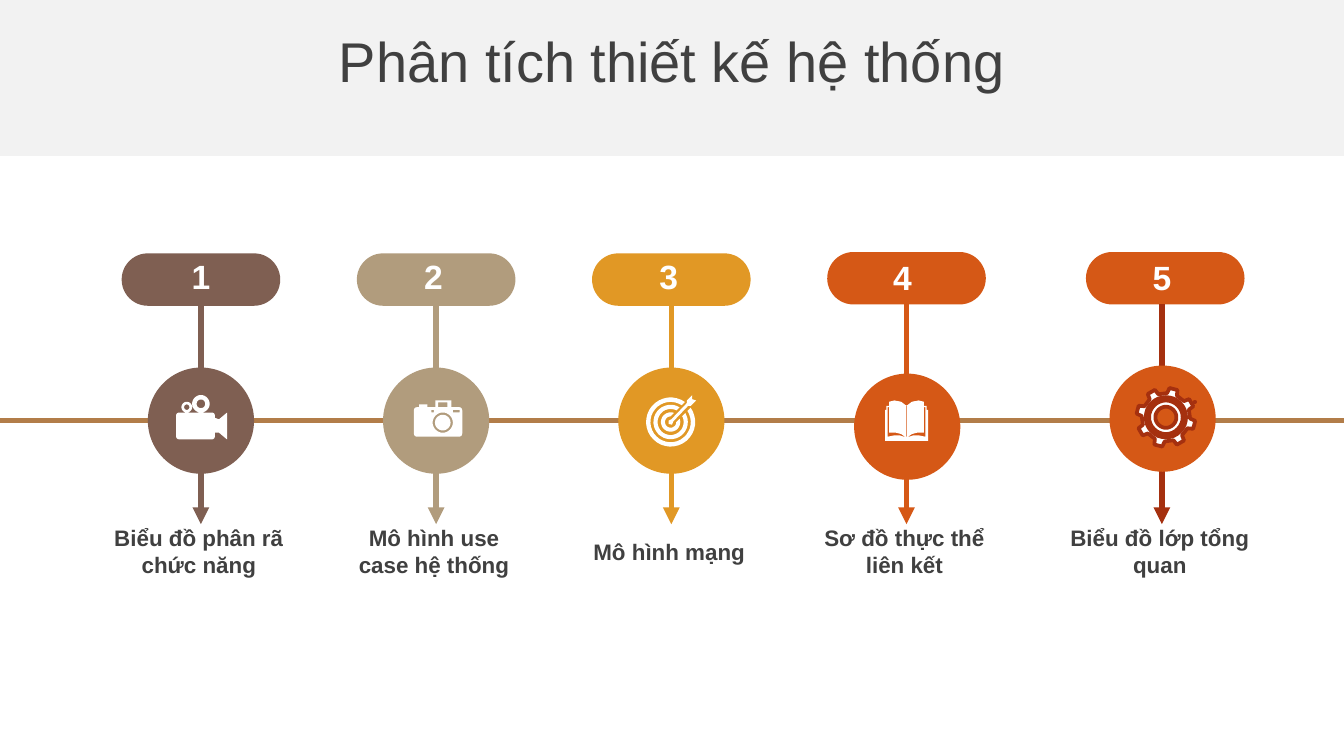
from collections import namedtuple
from math import asin, cos, degrees, radians, sin

from lxml import etree
from pptx import Presentation
from pptx import util as u
from pptx.dml.color import RGBColor
from pptx.enum import shapes, text
from pptx.oxml import ns

# Grid: 100 columns by 56.25 rows of square cells
CELL = u.Inches(0.1)
COLUMNS, ROWS = 100, 56.25

WHITE = RGBColor(0xFF, 0xFF, 0xFF)
BAND = RGBColor(0xF2, 0xF2, 0xF2)
INK = RGBColor(0x40, 0x40, 0x40)
BROWN = RGBColor(0x7F, 0x5F, 0x52)
SAND = RGBColor(0xB1, 0x9C, 0x7D)
AMBER = RGBColor(0xE1, 0x98, 0x25)
ORANGE = RGBColor(0xD5, 0x58, 0x16)
RUST = RGBColor(0xA5, 0x30, 0x0F)
TIMELINE = RGBColor(0xB2, 0x7D, 0x49)

TITLE = {"size": u.Pt(30), "color": INK, "bold": False}
NUMBER = {"size": u.Pt(18), "color": WHITE, "bold": True}
LABEL = {"size": u.Pt(12), "color": INK, "bold": True}

PILL_WIDTH, PILL_HEIGHT, CIRCLE = 11.8, 3.9, 7.9
ARROW_END = 39


# Outlines for the icons, in cells from the icon's top left corner
def arc(x, y, radius, start=0, end=360, steps=32):
    angles = [radians(start + (end - start) * i / steps) for i in range(steps + 1)]
    return [(x + radius * cos(a), y + radius * sin(a)) for a in angles]


def box(left, top, right, bottom):
    return [(left, top), (right, top), (right, bottom), (left, bottom)]


def rounded_box(left, top, right, bottom, r=0.25):
    corners = box(left + r, top + r, right - r, bottom - r)
    return [point for i, (x, y) in enumerate(corners)
            for point in arc(x, y, r, 180 + 90 * i, 270 + 90 * i, 6)]


def open_ring(x, y, outer, inner, gap=0.3):
    """Ring with a slit of constant width towards the upper right."""
    wide, narrow = (degrees(asin(gap / r)) for r in (outer, inner))
    return (arc(x, y, outer, wide - 45, 315 - wide)
            + arc(x, y, inner, 315 - narrow, narrow - 45))


def mirror(points, width):
    return [(width - x, y) for x, y in points]


def cog(x, y, teeth=8, first=-75):
    corners = [(1.8, -12), (2.2, -8), (2.2, 8), (1.8, 12)]
    return [arc(x, y, radius, first + 360 / teeth * i + turn, steps=1)[0]
            for i in range(teeth) for radius, turn in corners]


FILM = [rounded_box(0, 1.3, 2.9, 3.3),
        [(2.9, 1.7), (3.2, 1.8), (3.8, 1.3), (3.8, 3.3), (3.2, 2.8), (2.9, 2.8)],
        arc(0.8, 0.9, 0.4), arc(0.8, 0.9, 0.2),
        arc(1.85, 0.65, 0.65), arc(1.85, 0.65, 0.32)]

PHOTO = [rounded_box(0, 0.5, 3.6, 2.7), box(0.4, 0.3, 1, 0.5),
         box(1.6, 0, 2.8, 0.5), box(1.8, 0.15, 2.5, 0.5),
         box(1.3, 0.7, 1.5, 0.9), box(2.9, 0.7, 3.4, 0.9),
         arc(2.15, 1.65, 0.75), arc(2.15, 1.65, 0.58)]

TARGET = [open_ring(1.8, 2, outer, inner)
          for outer, inner in [(1.83, 1.5), (1.28, 0.97), (0.72, 0.42)]]
TARGET.append([(3.4, 0), (3.4, 0.3), (3.7, 0.4), (3.3, 0.8), (3.1, 0.8), (2, 1.95),
               (1.9, 2.2), (1.65, 2.15), (1.65, 1.9), (1.85, 1.8), (3, 0.6), (3, 0.4)])

COVER = [(0, 3), (0, 0.7), (0.1, 0.7), (0.1, 0.4), (0.3, 0.4), (0.3, 0.1),
         (0.7, 0), (1.2, 0.1), (1.6, 0.4)]
MARGIN = [(0.2, 0.5), (0.3, 0.5), (0.3, 2.4), (0.8, 2.4), (1.2, 2.5), (1.55, 2.75),
          (1.1, 2.6), (0.7, 2.6), (0.2, 2.7)]
BOOK = [COVER + mirror(COVER, 3.2)[::-1], MARGIN, mirror(MARGIN, 3.2),
        box(1.57, 0.4, 1.63, 2.7)]

GEAR = [cog(2.15, 2.15)] + [arc(2.15, 2.15, r) for r in (1.5, 1.25, 0.78)]
GEAR.append(box(4.28, 0.99, 4.32, 1.01))


class Canvas:
    """Holds the style and the current slide; lengths are in cells."""
    font = "Arial"
    line_width = u.Pt(3)

    def __init__(self, slide):
        self.slide = slide

    def cells(self, *values):
        return [round(value * CELL) for value in values]

    def shape(self, kind, left, top, width, height, fill):
        shape = self.slide.shapes.add_shape(kind, *self.cells(left, top, width, height))
        self.paint(shape, fill)
        return shape

    def paint(self, shape, fill, outline=None):
        shape.shadow.inherit = False
        shape.fill.solid()
        shape.fill.fore_color.rgb = fill
        if outline is None:
            shape.line.fill.background()
        else:
            shape.line.color.rgb = outline
            shape.line.width = u.Pt(2)

    def text(self, words, left, top, width, height, style, wrap=True):
        textbox = self.slide.shapes.add_textbox(*self.cells(left, top, width, height))
        frame = textbox.text_frame
        for name, value in {"word_wrap": wrap,
                            "vertical_anchor": text.MSO_ANCHOR.MIDDLE}.items():
            setattr(frame, name, value)
        paragraph = frame.paragraphs[0]
        paragraph.alignment = text.PP_ALIGN.CENTER
        run = paragraph.add_run()
        run.text = words
        run.font.name = self.font
        for name, value in style.items():
            if name == "color":
                run.font.color.rgb = value
            else:
                setattr(run.font, name, value)

    def line(self, x1, y1, x2, y2, color, arrow=False):
        connector = self.slide.shapes.add_connector(
            shapes.MSO_CONNECTOR.STRAIGHT, *self.cells(x1, y1, x2, y2))
        connector.line.color.rgb = color
        connector.line.width = self.line_width
        properties = connector._element.spPr
        if arrow:
            etree.SubElement(properties.get_or_add_ln(), ns.qn("a:tailEnd"), type="triangle")
        etree.SubElement(properties, ns.qn("a:effectLst"))
        return connector

    def icon(self, outlines, left, top, outline=None):
        builder = None
        for points in outlines:
            places = [((left + x) * 100, (top + y) * 100) for x, y in points]
            if builder is None:
                builder = self.slide.shapes.build_freeform(*places[0], scale=CELL / 100)
            else:
                builder.move_to(*places[0])
            builder.add_line_segments(places[1:], close=True)
        self.paint(builder.convert_to_shape(), WHITE, outline)


# Horizontal values are centres, vertical values are tops
Step = namedtuple("Step", "label color arrow axis pill pill_top circle circle_top "
                          "number number_top label_box icon icon_at outline")
TWO_LINES, ONE_LINE = (38.5, 5), (39.55, 3)
STEPS = [
    Step("Biểu đồ phân rã chức năng", BROWN, BROWN, 14.95, 14.95, 18.85, 14.95, 27.35,
         14.95, 18.55, TWO_LINES, FILM, (13.1, 29.4), None),
    Step("Mô hình use case hệ thống", SAND, SAND, 32.45, 32.45, 18.85, 32.45, 27.35,
         32.25, 18.55, TWO_LINES, PHOTO, (30.8, 29.8), None),
    Step("Mô hình mạng", AMBER, AMBER, 49.95, 49.95, 18.85, 49.95, 27.35,
         49.75, 18.55, ONE_LINE, TARGET, (48.1, 29.4), None),
    Step("Sơ đồ thực thể liên kết", ORANGE, ORANGE, 67.45, 67.45, 18.75, 67.5, 27.8,
         67.15, 18.65, TWO_LINES, BOOK, (65.85, 29.8), None),
    Step("Biểu đồ lớp tổng quan", ORANGE, RUST, 86.45, 86.7, 18.75, 86.5, 27.2,
         86.45, 18.65, TWO_LINES, GEAR, (84.6, 28.9), RUST),
]


def draw_step(canvas, number, step):
    # Pill and the arrow that leaves it
    pill = canvas.shape(shapes.MSO_SHAPE.ROUNDED_RECTANGLE, step.pill - PILL_WIDTH / 2,
                        step.pill_top, PILL_WIDTH, PILL_HEIGHT, step.color)
    pill.adjustments[0] = 0.5
    arrow = canvas.line(step.axis, step.pill_top + PILL_HEIGHT, step.axis, ARROW_END,
                        step.arrow, arrow=True)
    if step.axis == step.pill:
        arrow.begin_connect(pill, 2)
    canvas.text(str(number), step.number - 1.7, step.number_top, 3.4, 4, NUMBER, wrap=False)
    # Circle with its icon
    canvas.shape(shapes.MSO_SHAPE.OVAL, step.circle - CIRCLE / 2, step.circle_top,
                 CIRCLE, CIRCLE, step.color)
    canvas.icon(step.icon, *step.icon_at, step.outline)
    # Label
    top, height = step.label_box
    canvas.text(step.label, step.axis - 7.8, top, 15.3, height, LABEL)


def main():
    presentation = Presentation()
    presentation.slide_width = round(COLUMNS * CELL)
    presentation.slide_height = round(ROWS * CELL)
    canvas = Canvas(presentation.slides.add_slide(presentation.slide_layouts[6]))
    # Title band
    canvas.shape(shapes.MSO_SHAPE.RECTANGLE, 0, 0, COLUMNS, 11.6, BAND)
    canvas.text("Phân tích thiết kế hệ thống", 0, 1.35, COLUMNS, 6.3, TITLE)
    # Timeline and its steps
    canvas.line(0, 31.3, COLUMNS, 31.3, TIMELINE)
    for number, step in enumerate(STEPS, 1):
        draw_step(canvas, number, step)
    presentation.save("out.pptx")


if __name__ == "__main__":
    main()
